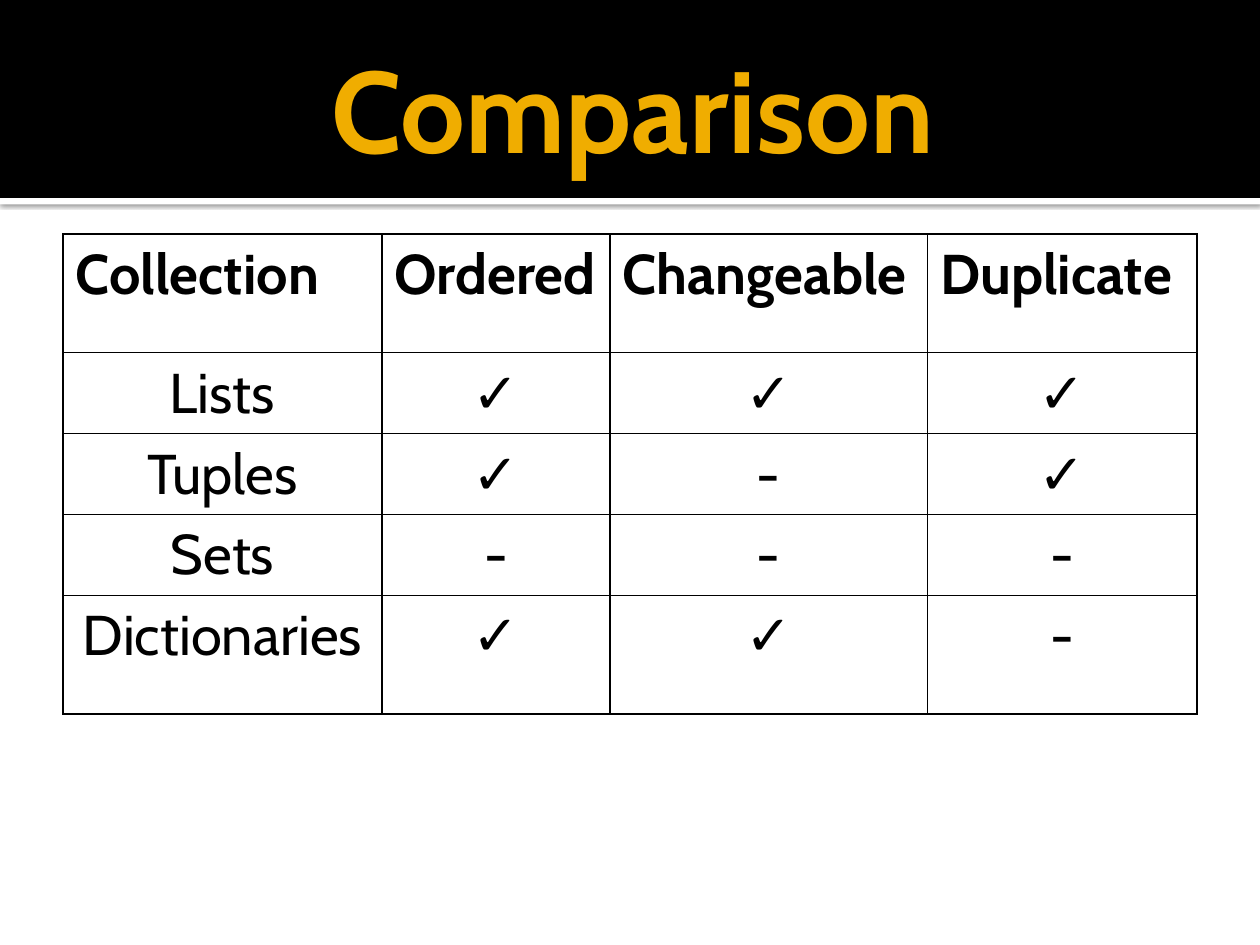
from dataclasses import dataclass

from lxml.etree import SubElement
from pptx import Presentation
from pptx.dml.color import RGBColor
from pptx.enum.shapes import MSO_SHAPE
from pptx.enum.text import MSO_ANCHOR, PP_ALIGN
from pptx.oxml import parse_xml
from pptx.oxml.ns import nsdecls, qn
from pptx.util import Cm, Pt

COLORS = {"black": "000000", "white": "FFFFFF", "gold": "F0AD00"}
FONT = "Cabin"
SLIDE_WIDTH = 25.4
YES, NO = "✓", "-"


@dataclass
class Band:
    top: float
    height: float
    color: str
    shadow: bool = False


@dataclass
class Collection:
    name: str
    ordered: str
    changeable: str
    duplicate: str

    def texts(self) -> list[str]:
        return [self.name, self.ordered, self.changeable, self.duplicate]


BANDS = [
    Band(3.99, 0.13, "white", shadow=True),
    Band(0, 3.99, "black"),
]
HEADINGS = Collection("Collection", "Ordered", "Changeable", "Duplicate")
COLLECTIONS = [
    Collection("Lists", YES, YES, YES),
    Collection("Tuples", YES, NO, YES),
    Collection("Sets", NO, NO, NO),
    Collection("Dictionaries", YES, YES, NO),
]
COLUMN_WIDTHS = [6.43, 4.6, 6.4, 5.43]
ROW_HEIGHTS = [2.39, 1.63, 1.63, 1.63, 2.39]


def format_text(frame, size: float, color: str, bold: bool, align) -> None:
    for paragraph in frame.paragraphs:
        paragraph.alignment = align
        for run in paragraph.runs:
            run.font.name = FONT
            run.font.size = Pt(size)
            run.font.bold = bold
            run.font.color.rgb = RGBColor.from_string(COLORS[color])


def add_band(slide, band: Band, position: int) -> None:
    strip = slide.shapes.add_shape(
        MSO_SHAPE.RECTANGLE, Cm(0), Cm(band.top), Cm(SLIDE_WIDTH), Cm(band.height))
    strip.fill.solid()
    strip.fill.fore_color.rgb = RGBColor.from_string(COLORS[band.color])
    strip.line.fill.background()
    strip.shadow.inherit = False
    if band.shadow:
        effects = strip.element.spPr.find(qn("a:effectLst"))
        outer = SubElement(effects, qn("a:outerShdw"), blurRad=str(Pt(2.5)),
                           dist=str(Pt(0.8)), dir="5400000", algn="tl", rotWithShape="0")
        shade = SubElement(outer, qn("a:srgbClr"), val=COLORS["black"])
        SubElement(shade, qn("a:alpha"), val="60000")
    # Keep the bands behind the title
    slide.shapes.element.insert(2 + position, strip.element)


def add_borders(cell) -> None:
    properties = cell._tc.get_or_add_tcPr()
    for index, side in enumerate(("lnL", "lnR", "lnT", "lnB")):
        properties.insert(index, parse_xml(
            f'<a:{side} {nsdecls("a")} w="{Pt(1)}"><a:solidFill>'
            f'<a:srgbClr val="{COLORS["black"]}"/></a:solidFill></a:{side}>'))


def fill_cell(cell, text: str, heading: bool) -> None:
    cell.text_frame.text = text
    format_text(cell.text_frame, 32, "black", heading,
                PP_ALIGN.LEFT if heading else PP_ALIGN.CENTER)
    cell.fill.background()
    add_borders(cell)


presentation = Presentation()
presentation.slide_width, presentation.slide_height = Cm(SLIDE_WIDTH), Cm(19.05)
slide = presentation.slides.add_slide(presentation.slide_layouts[5])

# Header bands
for position, band in enumerate(BANDS):
    add_band(slide, band, position)

# Title
title = slide.shapes.title
title.left, title.top, title.width, title.height = Cm(1.27), Cm(0.43), Cm(22.86), Cm(3.48)
heading_frame = title.text_frame
heading_frame.text = "Comparison"
heading_frame.vertical_anchor = MSO_ANCHOR.MIDDLE
heading_frame.margin_left = Cm(0.25)
heading_frame.margin_right = heading_frame.margin_top = heading_frame.margin_bottom = Cm(0.13)
format_text(heading_frame, 66, "gold", True, PP_ALIGN.CENTER)

# Comparison table
comparison = slide.shapes.add_table(
    len(ROW_HEIGHTS), len(COLUMN_WIDTHS), Cm(1.27), Cm(4.72),
    Cm(sum(COLUMN_WIDTHS)), Cm(sum(ROW_HEIGHTS))).table
comparison.first_row = comparison.horz_banding = False
for column, width in zip(comparison.columns, COLUMN_WIDTHS):
    column.width = Cm(width)
for row, height, collection in zip(comparison.rows, ROW_HEIGHTS, [HEADINGS, *COLLECTIONS]):
    row.height = Cm(height)
    for cell, text in zip(row.cells, collection.texts()):
        fill_cell(cell, text, collection is HEADINGS)

presentation.save("out.pptx")
